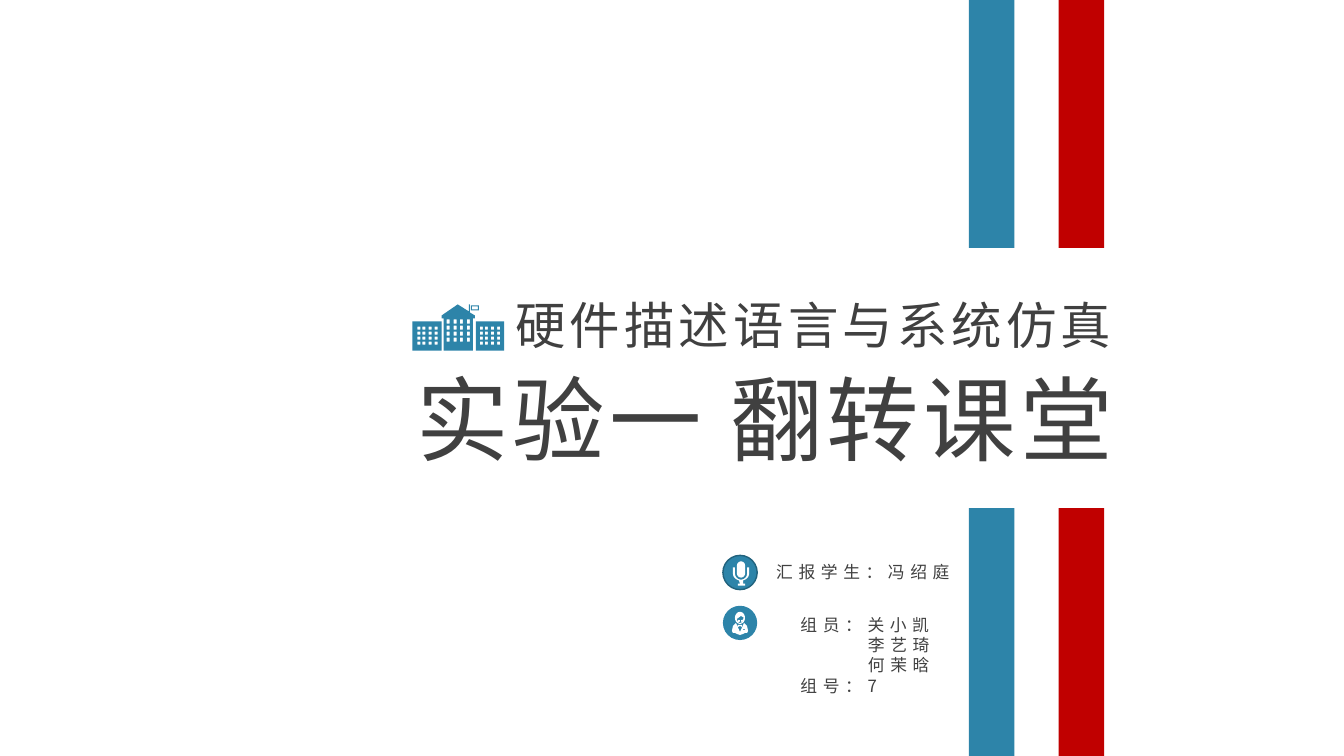
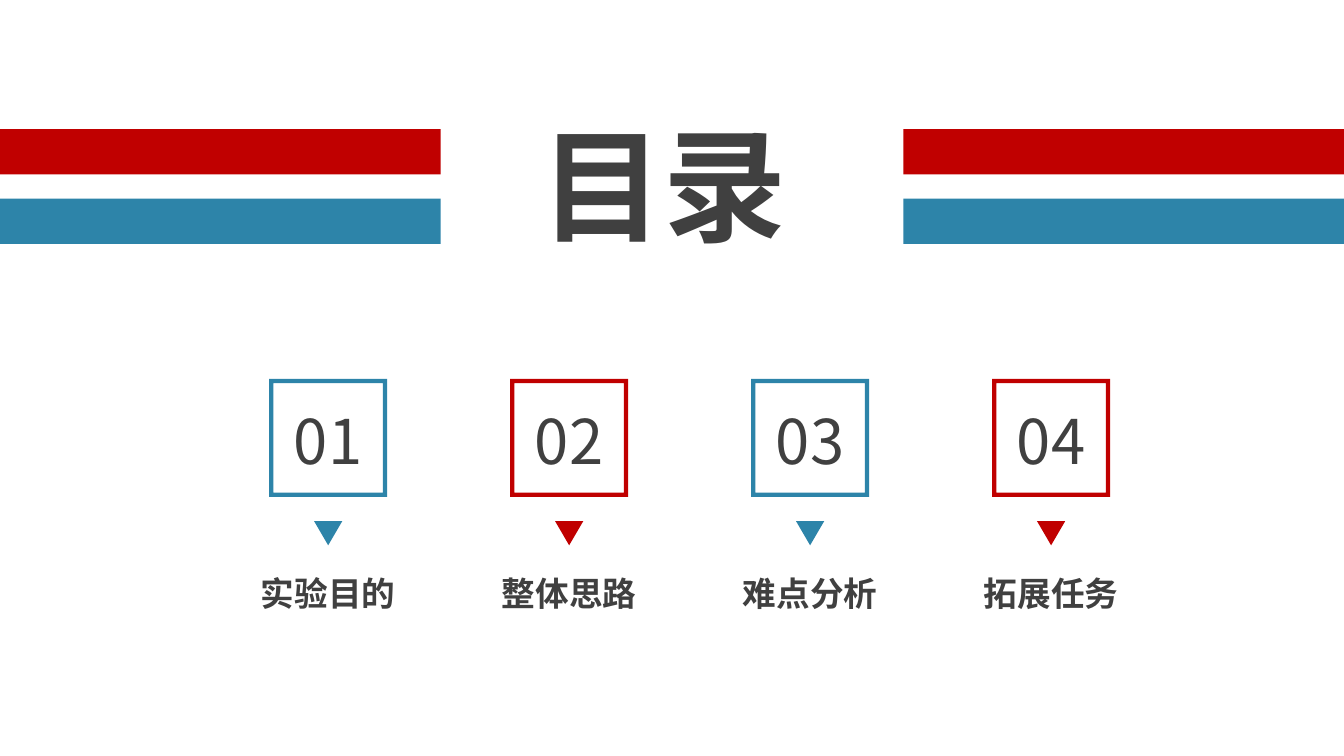
from math import cos, pi, sin

from lxml.etree import SubElement
from pptx import Presentation
from pptx.dml.color import RGBColor
from pptx.enum.shapes import MSO_SHAPE
from pptx.enum.text import MSO_ANCHOR, MSO_AUTO_SIZE, PP_ALIGN
from pptx.oxml.ns import qn
from pptx.util import Inches, Pt

FONT = "Noto Sans CJK SC"
COLORS = {"blue": "2D84A9", "red": "C00000", "text": "404040",
          "white": "FFFFFF", "edge": "21627D"}
SLIDE_W, SLIDE_H = 13.33, 7.5
BAND = 0.45

COURSE = "硬件描述语言与系统仿真"
TITLE = "实验一 翻转课堂"
PRESENTER = "汇报学生：冯绍庭"
NAME_INDENT = 0.67
MEMBERS = [("组员：关小凯", 0), ("李艺琦", NAME_INDENT),
           ("何茉晗", NAME_INDENT), ("组号：7", 0)]
AGENDA = "目录"
STEPS = [("01", "实验目的", "blue"), ("02", "整体思路", "red"),
         ("03", "难点分析", "blue"), ("04", "拓展任务", "red")]
STEP_LEFT, STEP_PITCH, STEP_SIZE = 2.67, 2.39, 1.17


def color(name):
    return RGBColor.from_string(COLORS[name])


def place(sp, left, top, width, height):
    sp.left, sp.top = Inches(left), Inches(top)
    sp.width, sp.height = Inches(width), Inches(height)


def paint(sp, fill, line=None):
    sp.shadow.inherit = False
    sp.fill.solid()
    sp.fill.fore_color.rgb = color(fill)
    if line:
        sp.line.color.rgb = color(line)
        sp.line.width = Pt(1)
    else:
        sp.line.fill.background()
    return sp


def add_preset(s, kind, box, fill, line=None):
    return paint(s.shapes.add_shape(kind, *map(Inches, box)), fill, line)


def write(sp, box, text, size, spacing=0, bold=False, wrap=False,
          align=PP_ALIGN.CENTER):
    place(sp, *box)
    tf = sp.text_frame
    tf.text = text
    tf.word_wrap = wrap
    tf.auto_size = MSO_AUTO_SIZE.NONE
    tf.vertical_anchor = MSO_ANCHOR.TOP
    for p in tf.paragraphs:
        p.alignment = align
        p.space_before = Pt(0)
        for r in p.runs:
            r.font.size = Pt(size)
            r.font.bold = bold
            r.font.name = FONT
            r.font.color.rgb = color("text")
            rPr = r.font._element
            SubElement(rPr, qn("a:ea")).set("typeface", FONT)
            rPr.set("spc", str(spacing * 100))
    return tf


def add_text(s, box, text, size, **style):
    return write(s.shapes.add_textbox(0, 0, 0, 0), box, text, size, **style)


def add_outline(s, contours, fill):
    contours = [[(Inches(x), Inches(y)) for x, y in c] for c in contours]
    builder = s.shapes.build_freeform(*contours[0][0], scale=1.0)
    for i, contour in enumerate(contours):
        if i:
            builder.move_to(*contour[0])
        builder.add_line_segments(contour[1:], close=True)
    return paint(builder.convert_to_shape(), fill)


def rect(left, top, right, bottom):
    return [(left, top), (right, top), (right, bottom), (left, bottom)]


def arc(cx, cy, rx, ry, start=0, end=360, steps=24):
    angles = [(start + (end - start) * i / steps) * pi / 180
              for i in range(steps + 1)]
    return [(cx + rx * cos(a), cy + ry * sin(a)) for a in angles]


def windows(columns, top, pitch, size):
    return [rect(x, top + i * pitch, x + 0.03, top + i * pitch + size)
            for i in range(4) for x in columns]


def add_school(s):
    wing = (4.14, 4.19, 4.25, 4.31)
    tower = [(4.69, 3.16), (4.69, 3.48), (4.4, 3.48), (4.4, 3.16),
             (4.38, 3.16), (4.38, 3.13), (4.54, 3.02), (4.65, 3.09),
             (4.65, 3.02), (4.66, 3.02), (4.66, 3.1), (4.71, 3.13),
             (4.71, 3.16)]
    flag = [rect(4.67, 3.03, 4.75, 3.08), rect(4.68, 3.04, 4.74, 3.07)]
    contours = [tower, rect(4.09, 3.19, 4.38, 3.48),
                rect(4.72, 3.19, 5, 3.48)] + flag
    contours += windows((4.43, 4.5, 4.56, 4.63), 3.17, 0.06, 0.04)
    contours += windows(wing, 3.24, 0.05, 0.03)
    contours += windows([x + 0.62 for x in wing], 3.24, 0.05, 0.03)
    add_outline(s, contours, "blue")


def add_microphone(s):
    add_preset(s, MSO_SHAPE.OVAL, (7.17, 5.51, 0.34, 0.34), "blue", "edge")
    capsule = arc(7.35, 5.61, 0.04, 0.04, 180, 360)
    capsule += arc(7.35, 5.69, 0.04, 0.04, 0, 180)
    stand = [(7.27, 5.63), (7.29, 5.63)]
    stand += arc(7.35, 5.69, 0.06, 0.06, 180, 0)
    stand += [(7.41, 5.63), (7.43, 5.63), (7.43, 5.69)]
    stand += arc(7.35, 5.69, 0.08, 0.07, 0, 75)
    stand += [(7.37, 5.79), (7.39, 5.79), (7.39, 5.81), (7.32, 5.81),
              (7.32, 5.79), (7.34, 5.79)]
    stand += arc(7.35, 5.69, 0.08, 0.07, 105, 180)
    add_outline(s, [capsule, stand], "white")


def add_person(s):
    add_preset(s, MSO_SHAPE.OVAL, (7.17, 6.01, 0.34, 0.34), "blue")
    head = arc(7.34, 6.13, 0.05, 0.06)
    face = [(7.38, 6.13), (7.35, 6.11), (7.31, 6.14)]
    face += arc(7.34, 6.14, 0.03, 0.04, 180, 0)
    eyes = [arc(x, 6.16, 0.01, 0.01) for x in (7.33, 7.36)]
    coat = [(7.3, 6.18), (7.34, 6.27), (7.38, 6.18), (7.41, 6.21),
            (7.42, 6.26), (7.41, 6.28), (7.39, 6.28), (7.37, 6.29),
            (7.34, 6.3), (7.31, 6.29), (7.29, 6.28), (7.27, 6.28),
            (7.26, 6.26), (7.27, 6.21)]
    bow_tie = [(7.32, 6.2), (7.34, 6.2), (7.36, 6.2), (7.36, 6.22),
               (7.34, 6.21), (7.32, 6.22)]
    pocket = rect(7.37, 6.24, 7.39, 6.25)
    add_outline(s, [head, face, *eyes, coat, bow_tie, pocket], "white")


def build_cover(prs):
    s = prs.slides.add_slide(prs.slide_layouts[0])
    length = 2.46
    for left, fill in ((9.61, "blue"), (10.5, "red")):
        for top in (0, SLIDE_H - length):
            add_preset(s, MSO_SHAPE.RECTANGLE, (left, top, BAND, length), fill)
    write(s.placeholders[1], (4.96, 2.87, 6.22, 0.71), COURSE, 36, spacing=3)
    write(s.shapes.title, (3.94, 3.54, 7.29, 1.21), TITLE, 66, spacing=3)
    add_school(s)
    add_microphone(s)
    add_person(s)
    add_text(s, (7.56, 5.52, 2, 0.3), PRESENTER, 12, spacing=4)
    tf = add_text(s, (7.84, 6.05, 1.55, 0.91),
                  "\n".join(name for name, _ in MEMBERS), 12, spacing=4,
                  wrap=True, align=PP_ALIGN.LEFT)
    for p, (_, indent) in zip(tf.paragraphs, MEMBERS):
        p._p.get_or_add_pPr().set("marL", str(Inches(indent)))


def build_agenda(prs):
    s = prs.slides.add_slide(prs.slide_layouts[5])
    length = 4.37
    for top, fill in ((1.28, "red"), (1.97, "blue")):
        for left in (0, SLIDE_W - length):
            add_preset(s, MSO_SHAPE.RECTANGLE, (left, top, length, BAND), fill)
    write(s.shapes.title, (5.06, 1.03, 3.04, 1.58), AGENDA, 88, bold=True)
    for i, (number, label, fill) in enumerate(STEPS):
        left = STEP_LEFT + i * STEP_PITCH
        center = left + STEP_SIZE / 2
        frame = add_preset(s, MSO_SHAPE.FRAME,
                           (left, 3.76, STEP_SIZE, STEP_SIZE), fill)
        frame.adjustments[0] = 0.036
        add_preset(s, MSO_SHAPE.FLOWCHART_MERGE,
                   (center - 0.14, 5.17, 0.28, 0.24), fill)
        add_text(s, (left, 3.95, STEP_SIZE, 0.84), number, 44, wrap=True)
        add_text(s, (center - 1.02, 5.63, 2.04, 0.5), label, 24,
                 bold=True, wrap=True)


def main():
    prs = Presentation()
    prs.slide_width, prs.slide_height = Inches(SLIDE_W), Inches(SLIDE_H)
    build_cover(prs)
    build_agenda(prs)
    prs.save("out.pptx")


if __name__ == "__main__":
    main()
